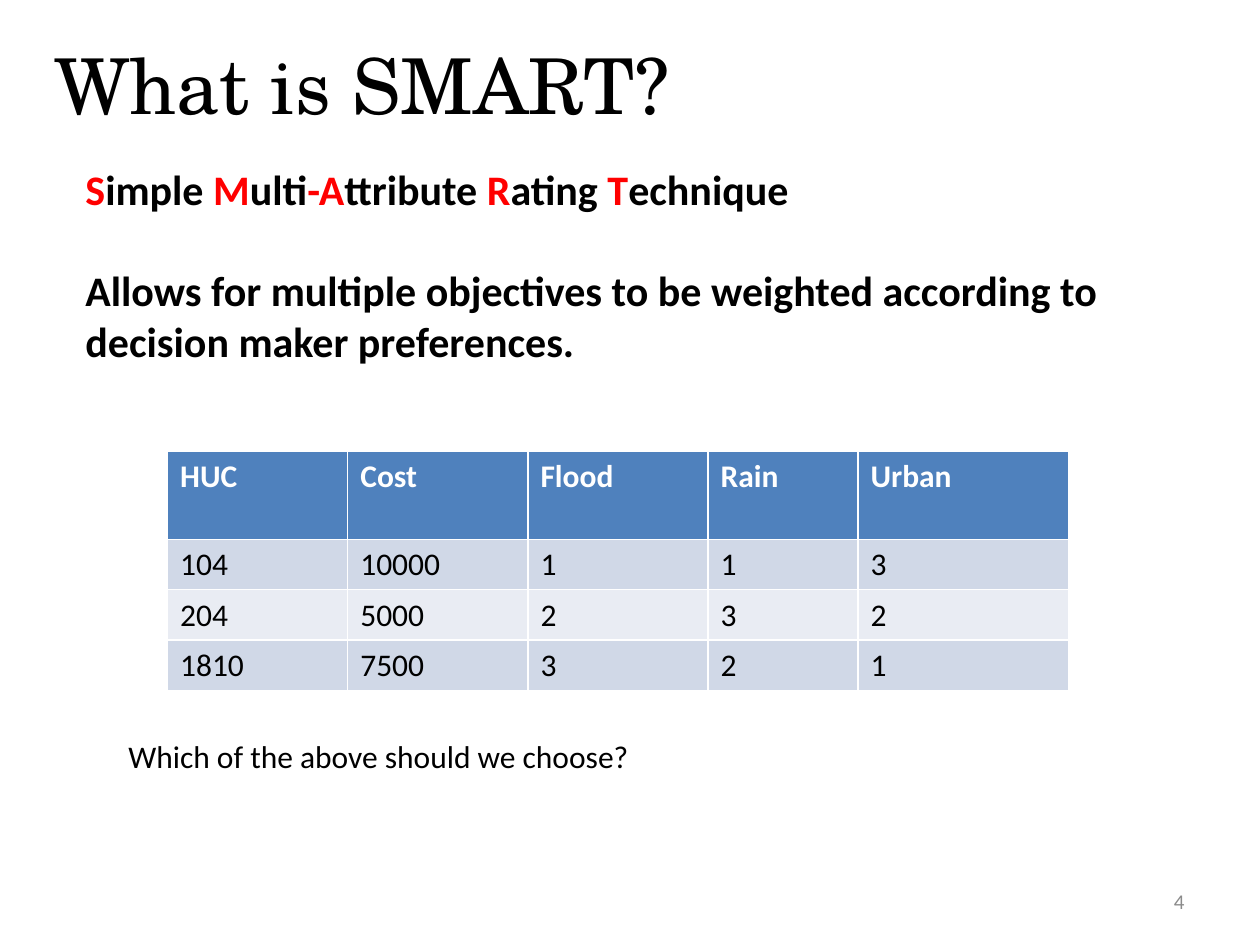
"""Build the slide that introduces SMART with its table of alternatives."""
from dataclasses import dataclass

from pptx import Presentation
from pptx.dml.color import RGBColor
from pptx.enum.text import MSO_ANCHOR as Anchor, MSO_AUTO_SIZE as AutoSize, PP_ALIGN as Align
from pptx.util import Inches, Pt


@dataclass(frozen=True)
class Theme:
    heading_font: str = "TeX Gyre Schola"
    body_font: str = "Calibri"
    title_size: int = 44
    lead_size: int = 24
    body_size: int = 18
    number_size: int = 12
    text: str = "000000"
    initial: str = "FF0000"
    number: str = "8B8B8B"
    header_text: str = "FFFFFF"
    header_fill: str = "4F81BD"
    bands: tuple = ("D0D8E7", "E9ECF3")


THEME = Theme()
NAME_PARTS = ("S", "imple", " M", "ulti", "-A", "ttribute", " R", "ating", " T", "echnique")
PURPOSE = "Allows for multiple objectives to be weighted according to decision maker preferences."
ALTERNATIVES = (
    ("HUC", "Cost", "Flood", "Rain", "Urban"),
    ("104", "10000", "1", "1", "3"),
    ("204", "5000", "2", "3", "2"),
    ("1810", "7500", "3", "2", "1"),
)
COLUMN_WIDTHS = (1.43, 1.43, 1.43, 1.19, 1.67)
ROW_HEIGHTS = (0.7, 0.4, 0.4, 0.4)


def add_run(paragraph, text, size, color=THEME.text, bold=False, font=THEME.body_font):
    """Append one formatted run to a paragraph."""
    run = paragraph.add_run()
    run.text = text
    for attribute, value in {"name": font, "size": Pt(size), "bold": bold}.items():
        setattr(run.font, attribute, value)
    run.font.color.rgb = RGBColor.from_string(color)


def format_frame(frame, anchor=Anchor.TOP, auto_size=AutoSize.SHAPE_TO_FIT_TEXT):
    """Set wrapping, anchor, fit and insets of a text frame."""
    settings = {
        "word_wrap": True, "vertical_anchor": anchor, "auto_size": auto_size,
        "margin_left": Inches(0.1), "margin_right": Inches(0.1),
        "margin_top": Inches(0.05), "margin_bottom": Inches(0.05),
    }
    for attribute, value in settings.items():
        setattr(frame, attribute, value)


def add_text_box(slide, left, top, width, height, **frame_settings):
    """Add an empty text box and return its text frame."""
    frame = slide.shapes.add_textbox(
        Inches(left), Inches(top), Inches(width), Inches(height)).text_frame
    format_frame(frame, **frame_settings)
    return frame


def set_title(slide, text):
    """Place and fill the title placeholder."""
    title = slide.shapes.title
    bounds = {"left": 0.33, "top": 0.25, "width": 8.37, "height": 0.83}
    for attribute, value in bounds.items():
        setattr(title, attribute, Inches(value))
    format_frame(title.text_frame)
    heading = title.text_frame.paragraphs[0]
    heading.alignment = Align.LEFT
    add_run(heading, text, THEME.title_size, font=THEME.heading_font)


def add_definition(slide):
    """Spell out the acronym with red initials and state its purpose."""
    frame = add_text_box(slide, 0.58, 1.25, 8.83, 1.7)
    full_name = frame.paragraphs[0]
    for index, part in enumerate(NAME_PARTS):
        color = THEME.text if index % 2 else THEME.initial
        add_run(full_name, part, THEME.lead_size, color, bold=True)
    purpose = frame.add_paragraph()
    purpose.space_before = Pt(29)
    add_run(purpose, PURPOSE, THEME.lead_size, bold=True)


def add_alternatives(slide):
    """Add the table that scores each alternative."""
    table = slide.shapes.add_table(
        len(ROW_HEIGHTS), len(COLUMN_WIDTHS), Inches(1.33), Inches(3.58),
        Inches(sum(COLUMN_WIDTHS)), Inches(sum(ROW_HEIGHTS))).table
    for column, width in zip(table.columns, COLUMN_WIDTHS):
        column.width = Inches(width)
    for index, (row, height, values) in enumerate(zip(table.rows, ROW_HEIGHTS, ALTERNATIVES)):
        row.height = Inches(height)
        is_header = index == 0
        fill = THEME.header_fill if is_header else THEME.bands[(index - 1) % 2]
        color = THEME.header_text if is_header else THEME.text
        for cell, value in zip(row.cells, values):
            cell.fill.solid()
            cell.fill.fore_color.rgb = RGBColor.from_string(fill)
            add_run(cell.text_frame.paragraphs[0], value, THEME.body_size, color, is_header)


def add_question(slide):
    """Ask the audience to choose."""
    question = add_text_box(slide, 0.92, 5.8, 5.17, 0.4).paragraphs[0]
    add_run(question, "Which of the above should we choose?", THEME.body_size)


def add_slide_number(slide, number):
    """Add the slide number at the lower right."""
    frame = add_text_box(
        slide, 7.17, 6.95, 2.33, 0.4, anchor=Anchor.MIDDLE, auto_size=AutoSize.NONE)
    frame.paragraphs[0].alignment = Align.RIGHT
    add_run(frame.paragraphs[0], number, THEME.number_size, THEME.number)


def main():
    """Build and save the presentation."""
    presentation = Presentation()
    presentation.slide_width, presentation.slide_height = Inches(10), Inches(7.5)
    slide = presentation.slides.add_slide(presentation.slide_layouts[5])
    set_title(slide, "What is SMART?")
    add_slide_number(slide, "4")
    add_definition(slide)
    add_alternatives(slide)
    add_question(slide)
    presentation.save("out.pptx")


if __name__ == "__main__":
    main()
